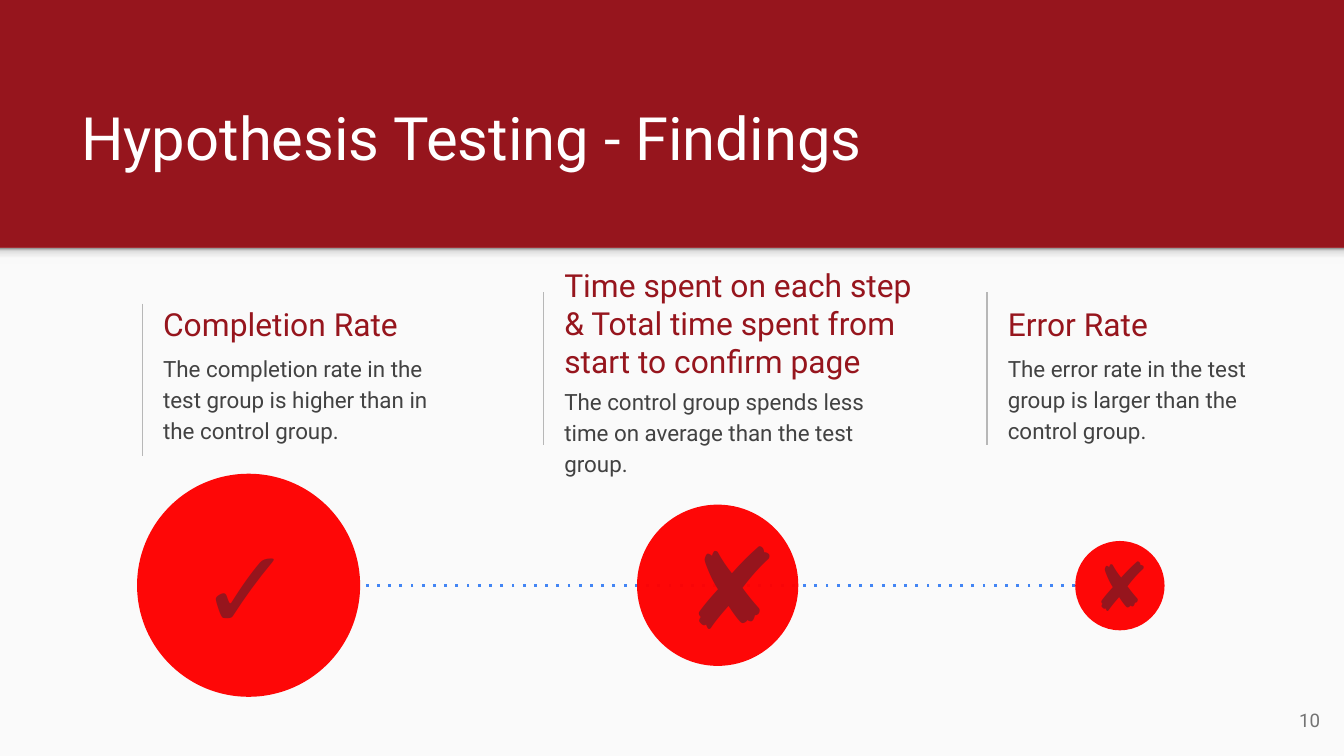
from lxml import etree
from pptx import Presentation
from pptx import util as u
from pptx.dml.color import RGBColor
from pptx.enum import dml, shapes, text
from pptx.oxml import ns

PX = 4572  # 200 px to the inch
WIDTH, HEIGHT = 2000, 1125
HEADER, AXIS = 369, 871  # bottom of the header, middle of the circles
RED, PALE, GREY = "96151D", "FAFAFA", "B7B7B7"

deck = Presentation()
deck.slide_width, deck.slide_height = WIDTH * PX, HEIGHT * PX
page = deck.slides.add_slide(deck.slide_layouts[6])


def paint(target, color):
    if hasattr(target, "solid"):
        target.solid()
        target = target.fore_color
    target.rgb = RGBColor.from_string(color)


def write(content, at, size, color, anchor="MIDDLE", align="LEFT", spacing=1.0, after=0):
    box = page.shapes.add_textbox(*[v * PX for v in at])
    frame = box.text_frame
    frame.word_wrap = True
    frame.vertical_anchor = text.MSO_ANCHOR[anchor]
    frame.margin_left = frame.margin_right = 20 * PX
    frame.margin_top = frame.margin_bottom = 20 * PX
    frame.text = content
    for para in frame.paragraphs:
        para.alignment = text.PP_ALIGN[align]
        para.line_spacing = spacing
        para.space_after = u.Pt(after)
        for span in para.runs:
            span.font.name = "Roboto"
            span.font.size = u.Pt(size)
            paint(span.font.color, color)


# Background, pale lower panel and the shadow below the header
paint(page.background.fill, RED)
panel, shade = [
    page.shapes.add_shape(shapes.MSO_SHAPE.RECTANGLE, 0, HEADER * PX, WIDTH * PX, height * PX)
    for height in (HEIGHT - HEADER, 24)
]
for band in (panel, shade):
    band.shadow.inherit = False
    band.line.fill.background()
paint(panel.fill, PALE)
shade.fill.gradient()
shade.fill.gradient_angle = 90
stops = shade._element.spPr.find(".//" + ns.qn("a:gsLst"))
for stop in list(stops):
    stops.remove(stop)
for place, color in ((0, "F9F9F9"), (36, "F9F9F9"), (80, "DEDEDE"), (100, "999999")):
    stop = etree.SubElement(stops, ns.qn("a:gs"), pos=str(place * 1000))
    etree.SubElement(stop, ns.qn("a:srgbClr"), val=color)

# Title
write("Hypothesis Testing - Findings", (101, 109, 1798, 168), 32, "FFFFFF",
      anchor="BOTTOM", spacing=1.15, after=16)

# Lines: one divider per finding, then the dotted line behind the circles
lines = [
    (212, 452, 212, 679, GREY, 0.75),
    (809, 435, 809, 662, GREY, 0.75),
    (1469, 435, 1469, 662, GREY, 0.75),
    (1600, AXIS, 536, AXIS, "4285F4", 1.5),
]
for x1, y1, x2, y2, color, width in lines:
    line = page.shapes.add_connector(
        shapes.MSO_CONNECTOR.STRAIGHT, x1 * PX, y1 * PX, x2 * PX, y2 * PX)
    line.line.width = u.Pt(width)
    paint(line.line.fill, color)
    etree.SubElement(line._element.spPr, ns.qn("a:effectLst"))
line.line.dash_style = dml.MSO_LINE.ROUND_DOT
line.line._ln.find(ns.qn("a:prstDash")).set("val", "dot")

# Findings: heading box, body box
findings = [
    ("Completion Rate", (223, 439, 396, 86),
     "The completion rate in the test group is higher than in the control group.",
     (223, 503, 470, 126)),
    ("Time spent on each step\n& Total time spent from start to confirm page",
     (820, 358, 582, 246),
     "The control group spends less time on average than the test group.",
     (820, 552, 522, 126)),
    ("Error Rate", (1480, 439, 396, 86),
     "The error rate in the test group is larger than the control group.",
     (1480, 503, 396, 126)),
]
for heading, heading_at, body, body_at in findings:
    write(heading, heading_at, 17, RED)
    write(body, body_at, 12, "424242", anchor="TOP", spacing=1.15)

# Circles on the dotted line, each with its mark
marks = [
    (204, 332, "✓", (277, 792, 190, 156), 60),
    (948, 240, "✘", (1000, 792, 144, 156), 60),
    (1600, 133, "✘", (1607, 792, 144, 156), 36),
]
for left, across, mark, mark_at, size in marks:
    circle = page.shapes.add_shape(
        shapes.MSO_SHAPE.OVAL, left * PX, (AXIS - across // 2) * PX, across * PX, across * PX)
    circle.shadow.inherit = False
    circle.line.fill.background()
    paint(circle.fill, "FF0000")
    tint = circle._element.spPr.find(".//" + ns.qn("a:srgbClr"))
    etree.SubElement(tint, ns.qn("a:alpha"), val="97000")
    write(mark, mark_at, size, RED)

# Page number
write("10", (1864, 1028, 120, 86), 10, "737373", align="RIGHT")

deck.save("out.pptx")
